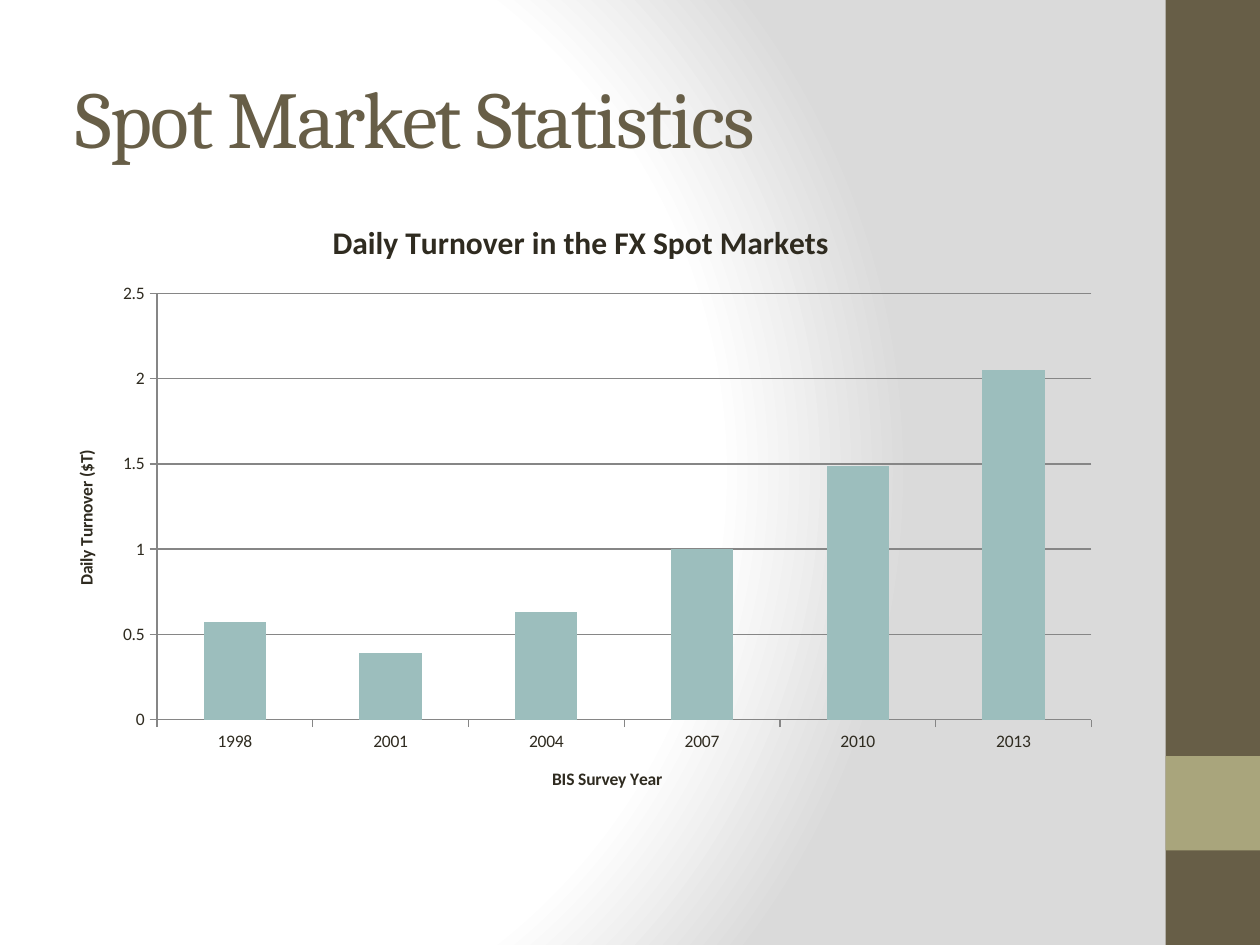
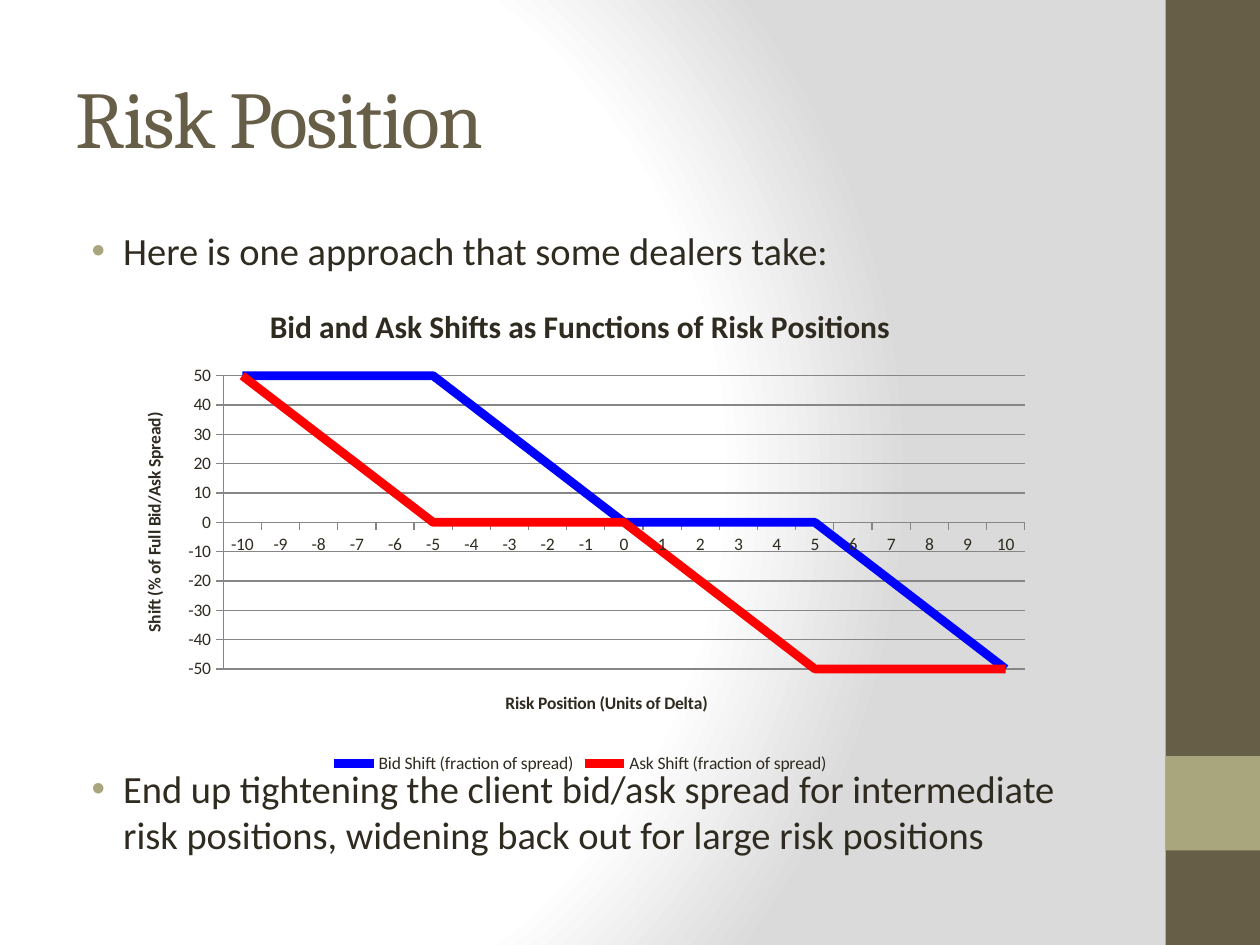
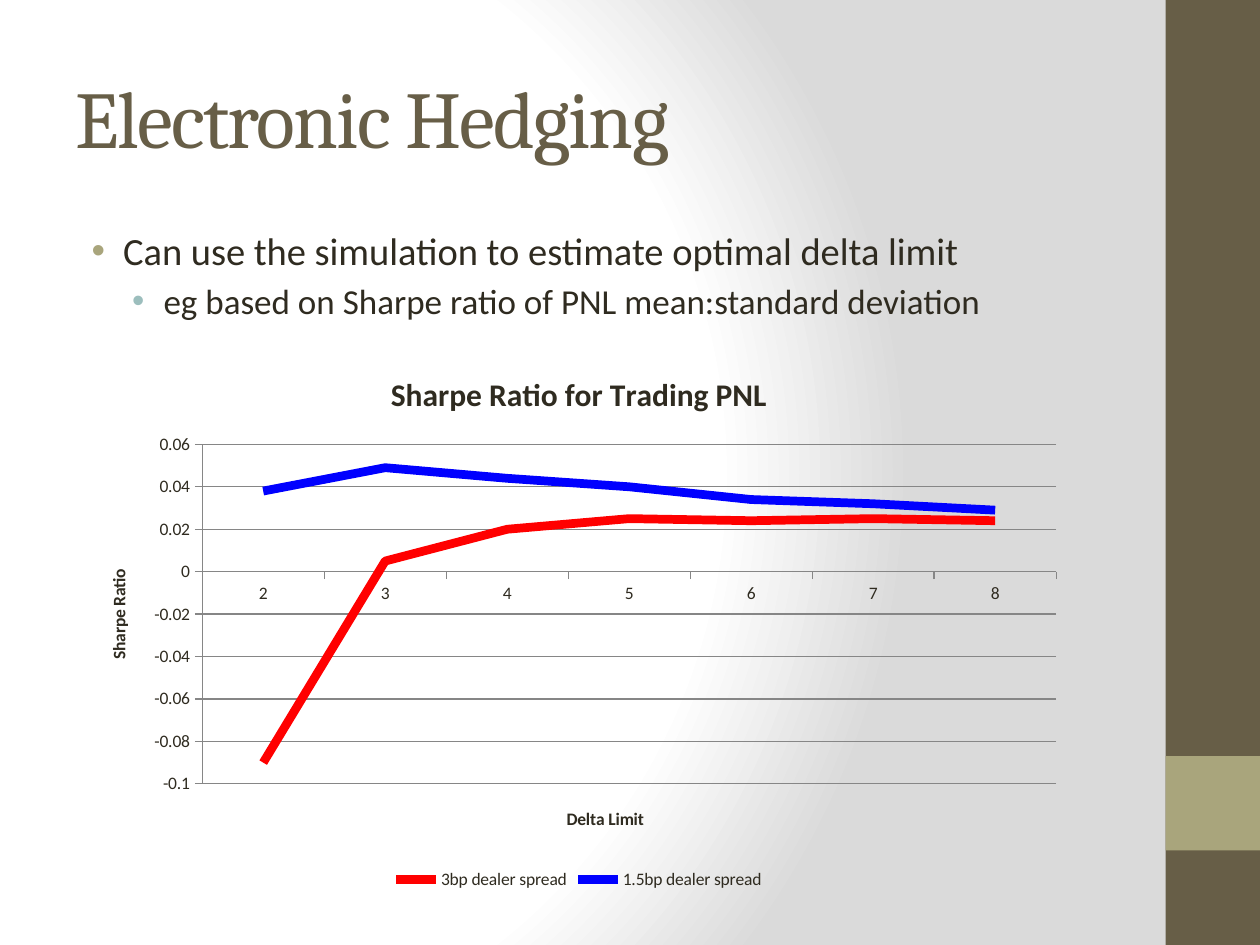
from dataclasses import dataclass

from pptx import Presentation
from pptx.chart.data import CategoryChartData
from pptx.dml.color import RGBColor
from pptx.enum.chart import XL_CHART_TYPE, XL_LEGEND_POSITION, XL_TICK_MARK
from pptx.enum.shapes import MSO_SHAPE
from pptx.enum.text import MSO_ANCHOR, PP_ALIGN
from pptx.oxml import parse_xml
from pptx.oxml.ns import nsdecls, qn
from pptx.util import Inches, Pt

STACKED = XL_CHART_TYPE.COLUMN_STACKED
LINE = XL_CHART_TYPE.LINE
BOTTOM = XL_LEGEND_POSITION.BOTTOM
TICK_OUT = XL_TICK_MARK.OUTSIDE
RECTANGLE = MSO_SHAPE.RECTANGLE
MIDDLE = MSO_ANCHOR.MIDDLE
LEFT = PP_ALIGN.LEFT

COLORS = {
    "white": "FFFFFF", "mist": "DADADA", "bark": "675E47", "olive": "A9A57C",
    "ink": "2F2B20", "teal": "9CBEBD", "grid": "868686",
    "blue": "0000FF", "red": "FF0000",
}
WIDTH, HEIGHT = Inches(10), Inches(7.5)
COLUMNS, ROWS = 100, 75
TITLE_FONT, BODY_FONT = "Cambria", "Calibri"
BULLET_LEVELS = [
    {"size": 22, "margin": 0.38, "bullet": "olive"},
    {"size": 20, "margin": 0.7, "bullet": "teal"},
]
HANGING = Inches(0.25)


@dataclass
class Box:
    column: float
    row: float
    columns: float
    rows: float

    def place(self):
        column, row = WIDTH / COLUMNS, HEIGHT / ROWS
        return [round(length) for length in (
            self.column * column, self.row * row,
            self.columns * column, self.rows * row)]


TITLE_BOX = Box(5, 3, 83.3, 12.5)
SIDE_BAND = Box(92.5, 0, 7.5, 75)
SIDE_ACCENT = Box(92.5, 60, 7.5, 7.5)


def rgb(name):
    return RGBColor.from_string(COLORS[name])


def apply(target, **values):
    for attribute, value in values.items():
        setattr(target, attribute, value)


def style_font(font, size, color="ink", name=BODY_FONT, bold=False):
    apply(font, size=Pt(size), name=name, bold=bold)
    font.color.rgb = rgb(color)


def style_master(master, slide):
    master.background.fill.solid()
    background = master.element.find(".//" + qn("p:bgPr"))
    stops = "".join(
        f'<a:gs pos="{share * 1000}"><a:srgbClr val="{COLORS[color]}"/></a:gs>'
        for share, color in ((0, "white"), (75, "white"), (100, "mist")))
    background.replace(background[0], parse_xml(
        f'<a:gradFill {nsdecls("a")} rotWithShape="1"><a:gsLst>{stops}</a:gsLst>'
        '<a:path path="circle"><a:fillToRect l="20000" t="50000" r="100000" b="50000"/>'
        '</a:path></a:gradFill>'))
    for box, color in ((SIDE_ACCENT, "olive"), (SIDE_BAND, "bark")):
        band = slide.shapes.add_shape(RECTANGLE, *box.place())
        band.fill.solid()
        band.fill.fore_color.rgb = rgb(color)
        band.line.fill.background()
        band.shadow.inherit = False
        master.shapes.element.insert(2, band.element)


def add_title(slide, text):
    title = slide.shapes.title
    left, top, width, height = TITLE_BOX.place()
    apply(title, left=left, top=top, width=width, height=height)
    title.text_frame.text = text
    title.text_frame.vertical_anchor = MIDDLE
    heading = title.text_frame.paragraphs[0]
    heading.alignment = LEFT
    font = heading.runs[0].font
    style_font(font, 46, "bark", TITLE_FONT)
    heading.runs[0]._r.get_or_add_rPr().set("spc", "-100")


def add_bullets(slide, box, points):
    frame = slide.shapes.add_textbox(*box.place()).text_frame
    frame.word_wrap = True
    for index, (level, gap, text) in enumerate(points):
        look = BULLET_LEVELS[level]
        point = frame.paragraphs[0] if index == 0 else frame.add_paragraph()
        apply(point, level=level, alignment=LEFT, space_before=Pt(gap))
        run = point.add_run()
        run.text = text
        style_font(run.font, look["size"])
        properties = point._p.get_or_add_pPr()
        properties.set("marL", str(Inches(look["margin"])))
        properties.set("indent", str(-HANGING))
        for bullet in (
                f'<a:buClr {nsdecls("a")}><a:srgbClr val="{COLORS[look["bullet"]]}"/></a:buClr>',
                f'<a:buFont {nsdecls("a")} typeface="Arial"/>',
                f'<a:buChar {nsdecls("a")} char="•"/>'):
            properties.append(parse_xml(bullet))


def write_heading(frame, text, size):
    frame.text = text
    style_font(frame.paragraphs[0].runs[0].font, size, bold=True)


def style_axis(axis, title):
    axis.major_tick_mark = TICK_OUT
    write_heading(axis.axis_title.text_frame, title, 10)
    style_line(axis.format.line, "grid", 0.75)


def style_line(line, color, width):
    line.color.rgb = rgb(color)
    line.width = Pt(width)


def add_chart(slide, box, kind, title, axis_titles, categories, series, scale=None):
    data = CategoryChartData()
    data.categories = categories
    for name, values, _ in series:
        data.add_series(name, values)
    chart = slide.shapes.add_chart(kind, *box.place(), data).chart
    style_font(chart.font, 10)
    chart.has_title = True
    write_heading(chart.chart_title.text_frame, title, 18)
    chart.chart_title.include_in_layout = False

    category_axis, value_axis = chart.category_axis, chart.value_axis
    for axis, axis_title in zip((category_axis, value_axis), axis_titles):
        style_axis(axis, axis_title)
    turned = value_axis.axis_title.text_frame._txBody.bodyPr
    turned.set("rot", "-5400000")
    turned.set("vert", "horz")
    value_axis.has_major_gridlines = True
    style_line(value_axis.major_gridlines.format.line, "grid", 0.75)
    apply(value_axis, **(scale or {}))

    plot = chart.plots[0]
    plot.vary_by_categories = False
    chart.has_legend = kind == LINE
    if chart.has_legend:
        apply(chart.legend, position=BOTTOM, include_in_layout=False)
    else:
        apply(plot, gap_width=150, overlap=100)
    for drawn, (_, _, color) in zip(plot.series, series):
        if kind == LINE:
            drawn.smooth = False
            style_line(drawn.format.line, color, 5)
        else:
            drawn.format.fill.solid()
            drawn.format.fill.fore_color.rgb = rgb(color)


def fill_spot_market(slide):
    add_title(slide, "Spot Market Statistics")
    add_chart(
        slide, Box(3.9, 15.5, 84.4, 49.2), STACKED,
        "Daily Turnover in the FX Spot Markets",
        ("BIS Survey Year", "Daily Turnover ($T)"),
        range(1998, 2014, 3),
        [("Series 1", [0.57, 0.39, 0.63, 1, 1.49, 2.05], "teal")])


def fill_risk_position(slide):
    add_title(slide, "Risk Position")
    add_bullets(slide, Box(5, 17.5, 83.3, 55.2), [
        (0, 4.4, "Here is one approach that some dealers take:"),
        (0, 281, "End up tightening the client bid/ask spread for intermediate "
                 "risk positions, widening back out for large risk positions"),
    ])
    bid = [50] * 5 + [*range(50, 0, -10)] + [0] * 5 + [*range(0, -51, -10)]
    ask = [*range(50, 0, -10)] + [0] * 5 + [*range(0, -50, -10)] + [-50] * 6
    add_chart(
        slide, Box(9.3, 22.4, 73.5, 39.4), LINE,
        "Bid and Ask Shifts as Functions of Risk Positions",
        ("Risk Position (Units of Delta)", "Shift (% of Full Bid/Ask Spread)"),
        range(-10, 11),
        [("Bid Shift (fraction of spread)", bid, "blue"),
         ("Ask Shift (fraction of spread)", ask, "red")],
        {"minimum_scale": -50, "maximum_scale": 50, "major_unit": 10})


def fill_electronic_hedging(slide):
    add_title(slide, "Electronic Hedging")
    add_bullets(slide, Box(5, 17.5, 83.3, 52.5), [
        (0, 4.4, "Can use the simulation to estimate optimal delta limit"),
        (1, 4, "eg based on Sharpe ratio of PNL mean:standard deviation"),
    ])
    add_chart(
        slide, Box(6.5, 27.7, 78.9, 43.3), LINE,
        "Sharpe Ratio for Trading PNL",
        ("Delta Limit", "Sharpe Ratio"),
        range(2, 9),
        [("3bp dealer spread",
          [-0.09, 0.005, 0.02, 0.025, 0.024, 0.025, 0.024], "red"),
         ("1.5bp dealer spread",
          [0.038, 0.049, 0.044, 0.04, 0.034, 0.032, 0.029], "blue")])


def main():
    deck = Presentation()
    apply(deck, slide_width=WIDTH, slide_height=HEIGHT)
    title_only = deck.slide_layouts[5]
    for fill_slide in (fill_spot_market, fill_risk_position, fill_electronic_hedging):
        fill_slide(deck.slides.add_slide(title_only))
    style_master(deck.slide_master, deck.slides[0])
    deck.save("out.pptx")


if __name__ == "__main__":
    main()
